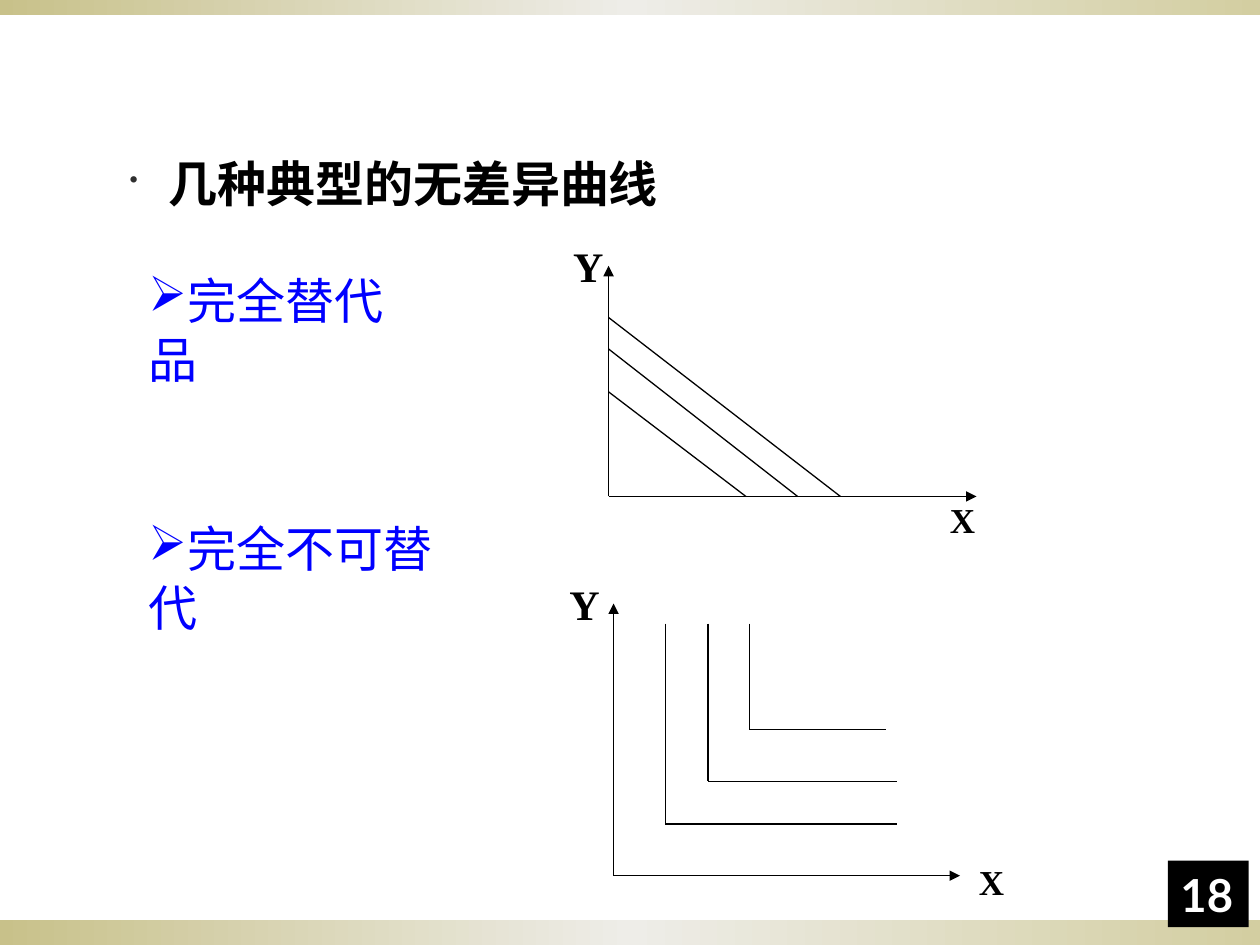
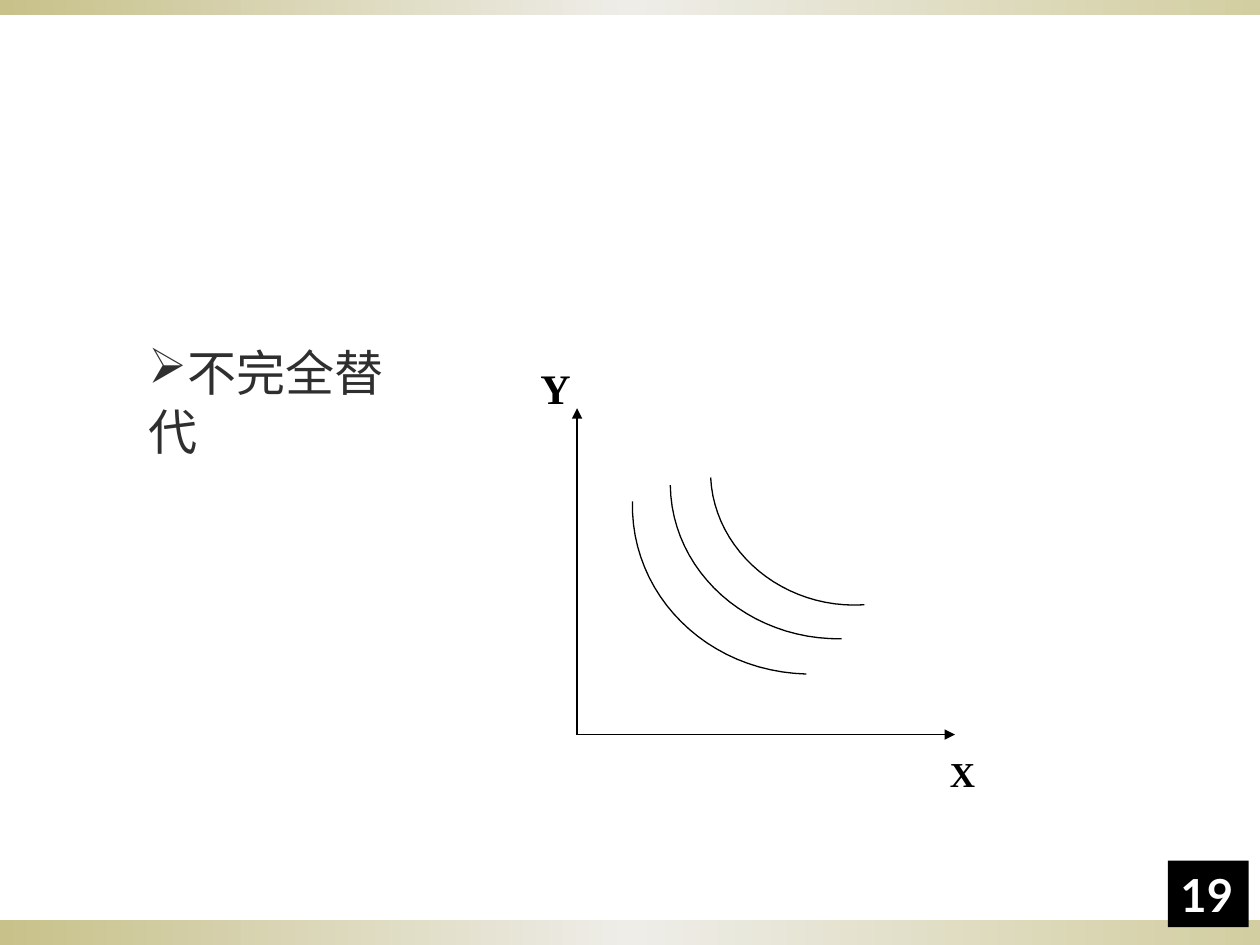
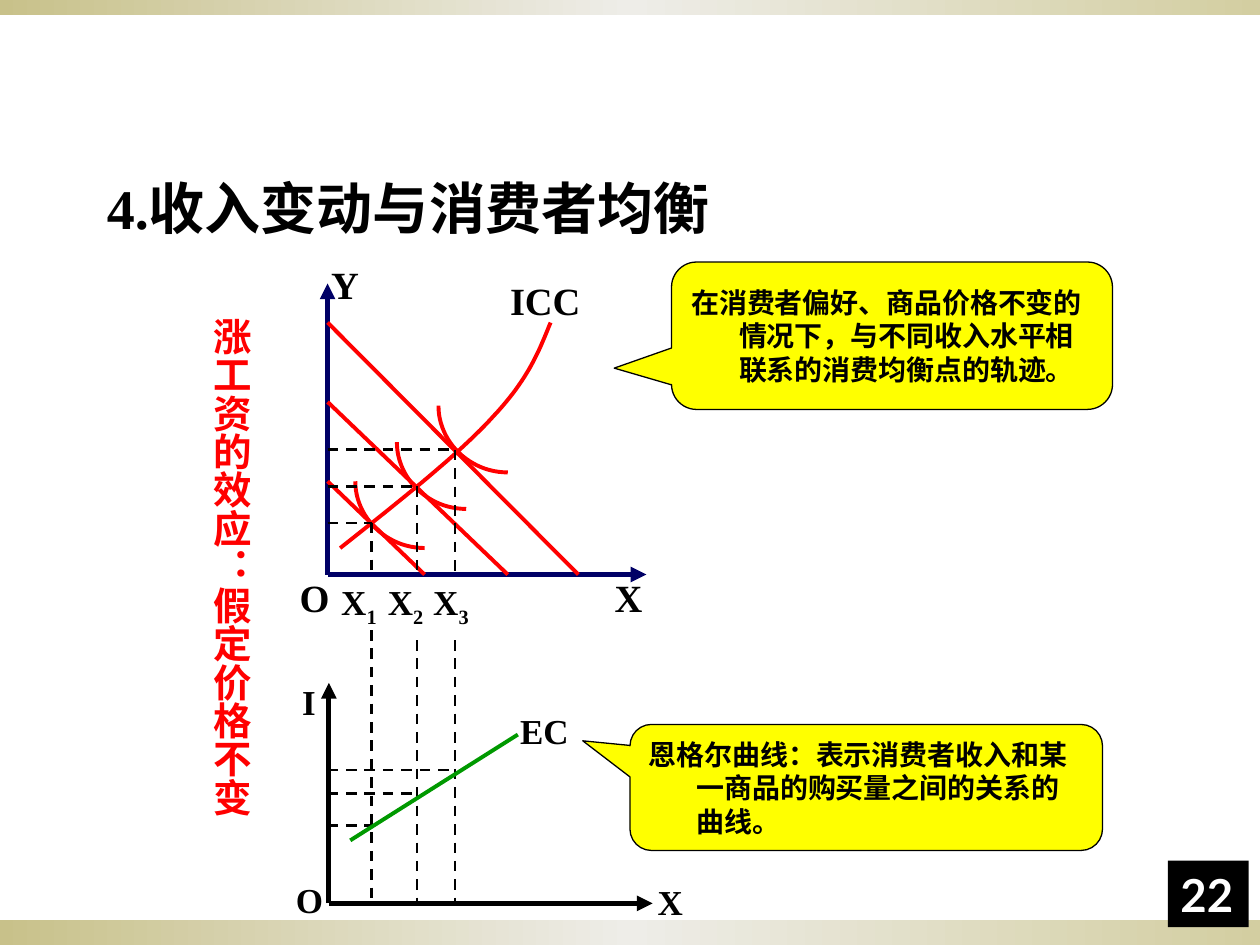
import copy
from dataclasses import dataclass

import pptx
import pptx.dml.color
import pptx.enum.dml
import pptx.enum.shapes
import pptx.enum.text
import pptx.oxml.ns
import pptx.util
from lxml import etree

SHAPES = pptx.enum.shapes.MSO_SHAPE
ANCHOR = pptx.enum.text.MSO_ANCHOR
COLUMNS, ROWS = 10, 7.5
CELL = pptx.util.Inches(1)


@dataclass(frozen=True)
class Theme:
    black: str = "000000"
    white: str = "FFFFFF"
    grey: str = "2F2F2F"
    blue: str = "0000FF"
    navy: str = "000066"
    red: str = "FF0000"
    green: str = "009900"
    yellow: str = "FFFF00"
    band: tuple = ((0, "C8C18A"), (0.5, "EEEDE8"), (1, "D3CEA1"))
    serif: str = "Times New Roman"
    sans: str = "Lato"
    chinese: str = "Noto Sans CJK SC"
    title: int = 32
    body: int = 28
    number: int = 26
    axis: int = 24
    curve: int = 22
    label: int = 20
    note: int = 16
    thin: float = 0.75
    dashed: float = 1.5
    medium: float = 2.25
    thick: float = 3


THEME = Theme()


# Basics
def grid(*cells):
    return [round(cell * CELL) for cell in cells]


def rgb(color):
    return pptx.dml.color.RGBColor.from_string(color)


def apply(target, values):
    for name, value in values.items():
        setattr(target, name, value)


def add_child(parent, tag, **attributes):
    child = etree.SubElement(parent, pptx.oxml.ns.qn(tag))
    for name, value in attributes.items():
        child.set(name, str(value))
    return child


# Text
def write(shape, parts, size, color=THEME.black, font=THEME.serif, bold=True,
          hanging=0, anchor=ANCHOR.TOP):
    """Fill a shape with one paragraph; parts are (text, baseline percent)."""
    apply(shape.text_frame, {"word_wrap": True, "vertical_anchor": anchor})
    paragraph = shape.text_frame.paragraphs[0]
    paragraph.alignment = pptx.enum.text.PP_ALIGN.LEFT
    if isinstance(parts, str):
        parts = [(parts, 0)]
    for text, baseline in parts:
        run = paragraph.add_run()
        run.text = text
        apply(run.font, {"name": font, "size": pptx.util.Pt(size), "bold": bold})
        run.font.color.rgb = rgb(color)
        properties = run.font._element
        add_child(properties, "a:ea", typeface=THEME.sans)
        if baseline:
            properties.set("baseline", str(baseline * 1000))
    properties = paragraph._p.get_or_add_pPr()
    if hanging:
        offset = grid(hanging)[0]
        properties.set("marL", str(offset))
        properties.set("indent", str(-offset))
    return properties


def add_label(slide, box, parts, size, **style):
    shape = slide.shapes.add_textbox(*grid(*box))
    return shape, write(shape, parts, size, **style)


def add_arrow_item(slide, top, width, text, color):
    _, properties = add_label(slide, (1.08, top, width, 0.57), text, THEME.body,
                              color=color, font=THEME.chinese, bold=False)
    add_child(properties, "a:buChar", char="➢")


# Lines and curves
def add_line(slide, start, end, color=THEME.black, width=THEME.thin,
             arrow=False, dashed=False):
    connector = slide.shapes.add_connector(
        pptx.enum.shapes.MSO_CONNECTOR.STRAIGHT, *grid(*start, *end))
    connector.line.color.rgb = rgb(color)
    connector.line.width = pptx.util.Pt(width)
    if dashed:
        connector.line.dash_style = pptx.enum.dml.MSO_LINE.DASH
    if arrow:
        add_child(connector.element.xpath(".//a:ln")[0], "a:tailEnd", type="triangle")
    add_child(connector.element.spPr, "a:effectLst")


def add_dashes(slide, start, end):
    add_line(slide, start, end, width=THEME.dashed, dashed=True)


def add_axes(slide, origin, top, right, **style):
    x, y = origin
    add_line(slide, origin, (x, top), arrow=True, **style)
    add_line(slide, origin, (right, y), arrow=True, **style)


def bezier(points, steps=24):
    for step in range(steps + 1):
        t = step / steps
        weights = ((1 - t) ** 3, 3 * t * (1 - t) ** 2, 3 * t * t * (1 - t), t ** 3)
        yield tuple(sum(weight * point[axis] for weight, point in zip(weights, points))
                    for axis in (0, 1))


def add_curve(slide, segments, color=THEME.black, width=THEME.thin):
    points = [grid(*point) for segment in segments for point in bezier(segment)]
    builder = slide.shapes.build_freeform(*points[0])
    builder.add_line_segments(points[1:], close=False)
    shape = builder.convert_to_shape()
    shape.shadow.inherit = False
    shape.fill.background()
    shape.line.color.rgb = rgb(color)
    shape.line.width = pptx.util.Pt(width)


# Filled shapes
def add_filled(slide, kind, box, fill=None, outline=None):
    shape = slide.shapes.add_shape(kind, *grid(*box))
    shape.shadow.inherit = False
    if fill:
        shape.fill.solid()
        shape.fill.fore_color.rgb = rgb(fill)
    if outline:
        shape.line.color.rgb = rgb(outline)
        shape.line.width = pptx.util.Pt(THEME.thin)
    else:
        shape.line.fill.background()
    return shape


def add_band(slide, top, height):
    band = add_filled(slide, SHAPES.RECTANGLE, (0, top, COLUMNS, height))
    band.fill.gradient()
    band.fill.gradient_angle = 0
    stops = band.element.xpath(".//a:gsLst")[0]
    stops.append(copy.deepcopy(stops[-1]))
    for stop, (position, color) in zip(band.fill.gradient_stops, THEME.band):
        stop.position = position
        stop.color.rgb = rgb(color)


def add_callout(slide, box, tail, text):
    callout = add_filled(slide, SHAPES.ROUNDED_RECTANGULAR_CALLOUT, box,
                         THEME.yellow, THEME.black)
    for index, value in enumerate((*tail, 0.17)):
        callout.adjustments[index] = value
    write(callout, text, THEME.note, font=THEME.sans, hanging=0.38, anchor=ANCHOR.MIDDLE)


def new_slide(presentation, number):
    slide = presentation.slides.add_slide(presentation.slide_layouts[6])
    add_band(slide, ROWS - 0.2, 0.2)
    add_band(slide, 0, 0.12)
    box = add_filled(slide, SHAPES.RECTANGLE, (9.27, 6.83, 0.64, 0.53), THEME.black)
    write(box, str(number), THEME.number, color=THEME.white, font=THEME.sans,
          anchor=ANCHOR.BOTTOM)
    return slide


# Slides
def build_typical_curves(presentation):
    slide = new_slide(presentation, 18)
    _, properties = add_label(slide, (0.43, 1.17, 8.58, 4.83), "几种典型的无差异曲线",
                              THEME.body)
    margin, indent = grid(0.81, -0.31)
    properties.set("marL", str(margin))
    properties.set("indent", str(indent))
    add_child(add_child(properties, "a:buClr"), "a:srgbClr", val=THEME.grey)
    add_child(properties, "a:buSzPct", val=50000)
    add_child(properties, "a:buChar", char="•")

    # Perfect substitutes: straight lines
    add_arrow_item(slide, 2.1, 2.4, "完全替代品", THEME.blue)
    x, y = origin = (4.83, 3.94)
    add_axes(slide, origin, top=2.11, right=7.75)
    for top, right in ((2.52, 6.67), (2.77, 6.33), (3.11, 5.92)):
        add_line(slide, (x, top), (right, y))
    add_label(slide, (7.44, 3.91, 1, 0.43), "X", THEME.label)
    add_label(slide, (4.45, 1.86, 0.5, 0.5), "Y", THEME.axis)

    # Perfect complements: right angles
    add_arrow_item(slide, 4.07, 2.8, "完全不可替代", THEME.blue)
    add_axes(slide, (4.87, 6.95), top=4.79, right=7.62)
    for x, y, right in ((5.28, 6.54, 7.12), (5.62, 6.2, 7.12), (5.95, 5.79, 7.03)):
        add_line(slide, (x, 4.95), (x, y))
        add_line(slide, (x, y), (right, y))
    add_label(slide, (7.67, 6.78, 0.56, 0.43), "X", THEME.label)
    add_label(slide, (4.42, 4.54, 0.5, 0.5), "Y", THEME.axis)


def build_imperfect_substitutes(presentation):
    slide = new_slide(presentation, 19)
    add_arrow_item(slide, 2.67, 2.4, "不完全替代", THEME.grey)
    add_axes(slide, (4.58, 5.83), top=3.24, right=7.58)
    for curve in (((6.4, 5.35), (5.61, 5.33), (5, 4.72), (5.02, 3.98)),
                  ((6.68, 5.07), (5.94, 5.08), (5.33, 4.54), (5.32, 3.85)),
                  ((6.86, 4.8), (6.22, 4.84), (5.67, 4.38), (5.64, 3.79))):
        add_curve(slide, [curve])
    add_label(slide, (4.19, 2.83, 0.5, 0.51), "Y", THEME.axis)
    add_label(slide, (7.44, 5.92, 0.55, 0.44), "X", THEME.label)


def build_income_change(presentation):
    slide = new_slide(presentation, 22)
    add_label(slide, (0.75, 1.33, 8.5, 0.7), "4.收入变动与消费者均衡", THEME.title)
    aside, _ = add_label(slide, (1.5, 2.42, 0.57, 4.33), "涨工资的效应：假定价格不变",
                         THEME.curve, color=THEME.red, hanging=0.38)
    aside.element.xpath(".//a:bodyPr")[0].set("vert", "eaVert")

    # Income-consumption curve
    red = {"color": THEME.red, "width": THEME.medium}
    x, y = origin = (2.6, 4.56)
    add_axes(slide, origin, top=2.25, right=5.13, color=THEME.navy, width=THEME.thick)
    for top, right in ((3.82, 3.37), (3.19, 4.03), (2.56, 4.59)):
        add_line(slide, (x, top), (right, y), **red)
    for left, top in ((2.82, 3.82), (3.15, 3.51), (3.48, 3.22)):
        right, bottom = left + 0.55, top + 0.53
        add_curve(slide, [((right, bottom), (left + 0.25, bottom),
                           (left, top + 0.29), (left, top))], **red)
    add_curve(slide, [((2.7, 4.35), (3.18, 3.97), (3.65, 3.6), (3.92, 3.3)),
                      ((3.92, 3.3), (4.2, 3), (4.28, 2.78), (4.37, 2.56))], **red)

    # Engel curve below, sharing the three quantities
    engel_y = 7.17
    add_axes(slide, (2.61, engel_y), top=5.42, right=5.18, width=THEME.thick)
    for quantity, upper, start, lower in ((2.95, 4.15, 5, 6.55),
                                          (3.31, 3.86, 5.08, 6.3),
                                          (3.61, 3.57, 5.08, 6.11)):
        add_dashes(slide, (x, upper), (quantity, upper))
        add_dashes(slide, (quantity, upper), (quantity, y))
        add_dashes(slide, (quantity, start), (quantity, engel_y))
        add_dashes(slide, (x, lower), (quantity, lower))
    add_line(slide, (2.78, 6.67), (4.11, 5.83), color=THEME.green, width=THEME.medium)

    # Labels
    for left, top, width, text, size in (
            (3.95, 2.15, 0.86, "ICC", THEME.curve), (2.53, 2.02, 0.4, "Y", THEME.curve),
            (4.78, 4.51, 0.42, "X", THEME.curve), (2.28, 4.51, 0.45, "O", THEME.curve),
            (2.3, 5.35, 0.4, "I", THEME.label), (2.25, 6.92, 0.45, "O", THEME.label),
            (5.12, 6.94, 0.45, "X", THEME.label), (4.03, 5.58, 0.67, "EC", THEME.label)):
        add_label(slide, (left, top, width, 0.45), text, size)
    quantities = [("X", 0), ("1", -25), ("\tX", 0), ("2", -25), ("\tX", 0), ("3", -25)]
    _, properties = add_label(slide, (2.61, 4.56, 1.58, 0.43), quantities, THEME.label)
    tabs = add_child(properties, "a:tabLst")
    for position in grid(0.37, 0.73):
        add_child(tabs, "a:tab", pos=position, algn="l")

    # Explanations
    add_callout(slide, (5, 5.75, 3.75, 1), (-0.6, -0.37),
                "恩格尔曲线：表示消费者收入和某一商品的购买量之间的关系的曲线。")
    add_callout(slide, (5.33, 2.08, 3.5, 1.17), (-0.63, 0.22),
                "在消费者偏好、商品价格不变的情况下，与不同收入水平相联系的消费均衡点的轨迹。")


def main():
    presentation = pptx.Presentation()
    apply(presentation, dict(zip(("slide_width", "slide_height"), grid(COLUMNS, ROWS))))
    build_typical_curves(presentation)
    build_imperfect_substitutes(presentation)
    build_income_change(presentation)
    presentation.save("out.pptx")


if __name__ == "__main__":
    main()
